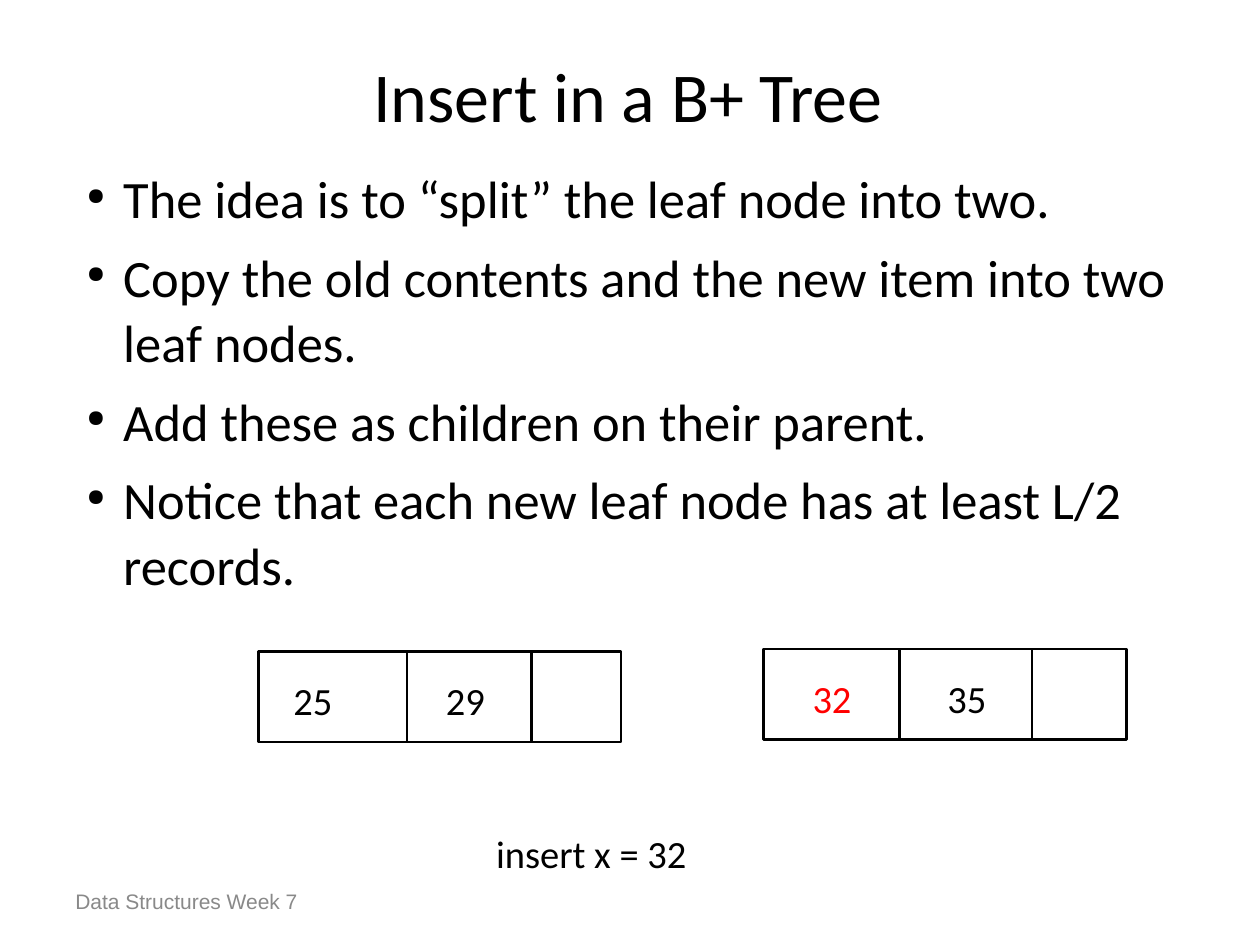
from lxml import etree
from pptx import Presentation
from pptx.dml.color import RGBColor
from pptx.enum.shapes import MSO_CONNECTOR, MSO_SHAPE
from pptx.enum.text import MSO_ANCHOR, PP_ALIGN
from pptx.oxml.ns import qn
from pptx.util import Inches, Pt

STRAIGHT, RECT = MSO_CONNECTOR.STRAIGHT, MSO_SHAPE.RECTANGLE
TOP, MIDDLE = MSO_ANCHOR.TOP, MSO_ANCHOR.MIDDLE
LEFT, CENTER = PP_ALIGN.LEFT, PP_ALIGN.CENTER

TITLE = "Insert in a B+ Tree"
FOOTER = "Data Structures Week 7"
CAPTION = "insert x = 32"
POINTS = [
    "The idea is to “split” the leaf node into two.",
    "Copy the old contents and the new item into two leaf nodes.",
    "Add these as children on their parent.",
    "Notice that each new leaf node has at least L/2 records.",
]
LEAVES = [
    {"at": (2.05, 5.17), "dividers": (1.18, 2.17),
     "records": [("25", 0.18, "record"), ("29", 1.39, "record")]},
    {"at": (6.06, 5.15), "dividers": (1.08, 2.13),
     "records": [("32", 0.29, "new"), ("35", 1.36, "record")]},
]
LEAF_W, LEAF_H = 2.88, 0.72
RECORD_W, RECORD_H, RECORD_DY = 0.72, 0.56, 0.07

BLACK, RED, GREY = (RGBColor.from_string(c) for c in ("000000", "FF0000", "898989"))
THEME = {
    "title": {"font": "Calibri", "size": 40, "color": BLACK, "spacing": 1.24},
    "body": {"font": "Calibri", "size": 30, "color": BLACK, "spacing": 1.04},
    "record": {"font": "Calibri", "size": 22, "color": BLACK, "spacing": 1.24},
    "new": {"font": "Calibri", "size": 22, "color": RED, "spacing": 1.24},
    "footer": {"font": "Arial", "size": 12, "color": GREY, "spacing": 1.0},
    "line": {"color": BLACK, "width": Pt(1.42)},
}


def set_attrs(obj, values):
    for name, value in values.items():
        setattr(obj, name, value)


def add_bullet(p):
    pPr = p._p.get_or_add_pPr()
    pPr.set("marL", str(Inches(0.38)))
    pPr.set("indent", str(Inches(-0.29)))
    color = etree.SubElement(pPr, qn("a:buClr"))
    etree.SubElement(color, qn("a:srgbClr"), val=str(BLACK))
    etree.SubElement(pPr, qn("a:buSzPct"), val="45000")
    etree.SubElement(pPr, qn("a:buChar"), char="●")


def add_text(s, lines, box, style, anchor=TOP, align=LEFT, bullets=False):
    look = THEME[style]
    tf = s.shapes.add_textbox(*map(Inches, box)).text_frame
    set_attrs(tf, {"word_wrap": True, "vertical_anchor": anchor})
    for i, line in enumerate(lines):
        p = tf.paragraphs[0] if i == 0 else tf.add_paragraph()
        set_attrs(p, {"alignment": align, "line_spacing": look["spacing"]})
        if i:
            p.space_before = Pt(7.5)
        if bullets:
            add_bullet(p)
        r = p.add_run()
        r.text = line
        set_attrs(r.font, {"name": look["font"], "size": Pt(look["size"])})
        r.font.color.rgb = look["color"]


def style_line(line):
    line.color.rgb = THEME["line"]["color"]
    line.width = THEME["line"]["width"]


def add_leaf(s, leaf):
    x, y = leaf["at"]
    sp = s.shapes.add_shape(RECT, *map(Inches, (x, y, LEAF_W, LEAF_H)))
    sp.shadow.inherit = False
    sp.fill.background()
    style_line(sp.line)
    for dx in leaf["dividers"]:
        ends = map(Inches, (x + dx, y, x + dx, y + LEAF_H))
        cxn = s.shapes.add_connector(STRAIGHT, *ends)
        style_line(cxn.line)
        etree.SubElement(cxn._element.spPr, qn("a:effectLst"))
    for text, dx, style in leaf["records"]:
        add_text(s, [text], (x + dx, y + RECORD_DY, RECORD_W, RECORD_H), style)


def main():
    """Build the B+ tree insertion slide."""
    prs = Presentation()
    set_attrs(prs, {"slide_width": Inches(10), "slide_height": Inches(7.5)})
    s = prs.slides.add_slide(prs.slide_layouts[6])
    add_text(s, [FOOTER], (0.5, 6.95, 2.33, 0.4), "footer", MIDDLE)
    add_text(s, [TITLE], (0.5, 0.33, 8.97, 0.68), "title", MIDDLE, CENTER)
    add_text(s, POINTS, (0.5, 1.25, 8.97, 3.56), "body", bullets=True)
    for leaf in LEAVES:
        add_leaf(s, leaf)
    add_text(s, [CAPTION], (3.84, 6.45, 2.86, 0.56), "record")
    prs.save("out.pptx")


if __name__ == "__main__":
    main()
